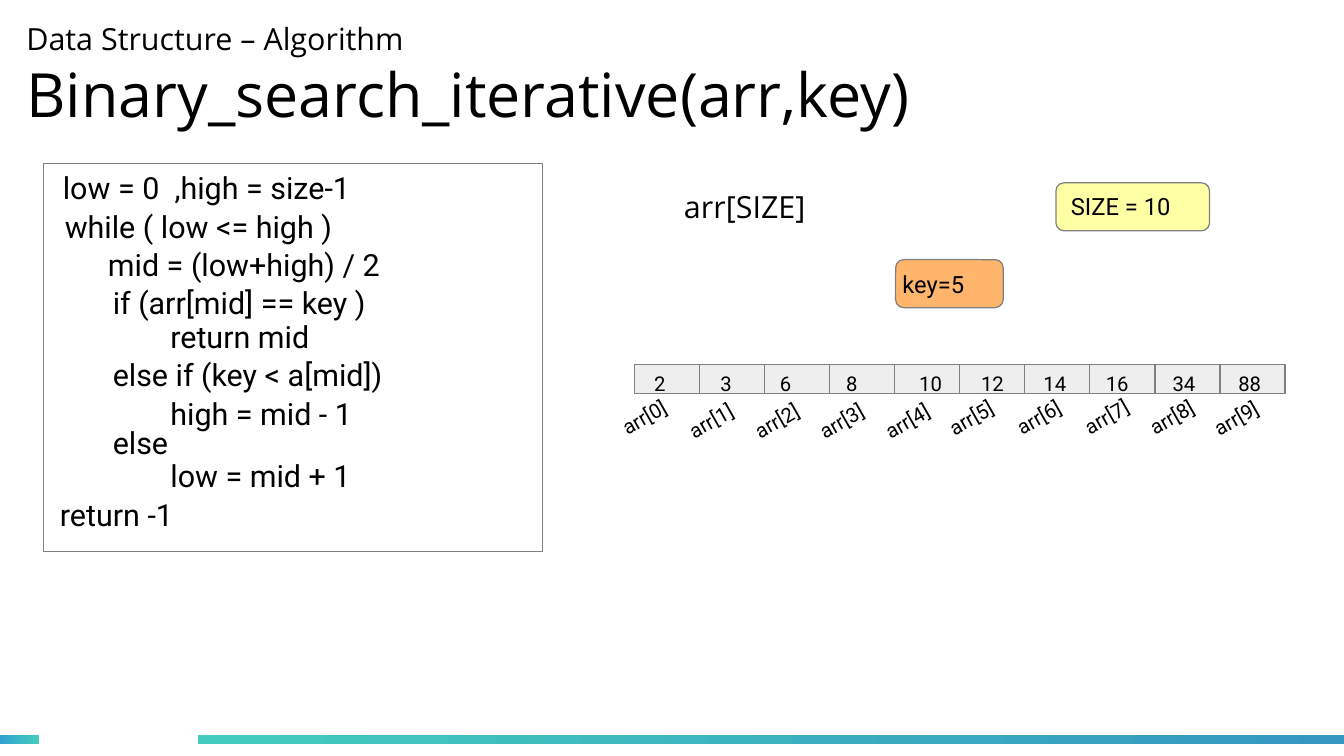
import dataclasses

import pptx
import pptx.dml.color
import pptx.enum.shapes
import pptx.enum.text
import pptx.util

Cm = pptx.util.Cm
Pt = pptx.util.Pt
Kind = pptx.enum.shapes.MSO_SHAPE
Anchor = pptx.enum.text.MSO_ANCHOR


@dataclasses.dataclass(frozen=True)
class Theme:
    ink: str = "000000"
    edge: str = "808080"
    paper: str = "FFFFFF"
    cell: str = "EEEEEE"
    yellow: str = "FFFFA6"
    orange: str = "FFB66C"
    teal: str = "43CCBD"
    sky: str = "30A2D2"
    blue: str = "3497C1"
    head: str = "Open Sans"
    body: str = "Roboto"
    huge: int = 36
    large: int = 18
    mid: int = 14
    small: int = 12


@dataclasses.dataclass(frozen=True)
class Box:
    left: float
    top: float
    width: float
    height: float


@dataclasses.dataclass(frozen=True)
class Step:
    text: str
    left: float
    top: float


@dataclasses.dataclass(frozen=True)
class Item:
    value: int
    left: float
    tag_left: float
    tag_top: float


THEME = Theme()

STEPS = [
    Step("low = 0  ,high = size-1", 1.06, 3.4),
    Step("while ( low <= high )", 1.1, 4.2),
    Step("mid = (low+high) / 2", 2, 5),
    Step("if (arr[mid] == key )", 2.1, 5.8),
    Step("return mid", 3.3, 6.5),
    Step("else if (key < a[mid])", 2.1, 7.3),
    Step("high = mid - 1", 3.3, 8.1),
    Step("else", 2.1, 8.7),
    Step("low = mid + 1", 3.3, 9.4),
    Step("return -1", 1, 10.2),
]

ITEMS = [
    Item(2, 13.38, 12.68, 8.23),
    Item(3, 14.76, 14.07, 8.3),
    Item(6, 16, 15.44, 8.3),
    Item(8, 17.38, 16.79, 8.31),
    Item(10, 18.9, 18.16, 8.31),
    Item(12, 20.19, 19.49, 8.24),
    Item(14, 21.49, 20.9, 8.23),
    Item(16, 22.79, 22.31, 8.22),
    Item(34, 24.18, 23.67, 8.23),
    Item(88, 25.55, 25.01, 8.25),
]


def tint(code: str) -> pptx.dml.color.RGBColor:
    return pptx.dml.color.RGBColor.from_string(code)


def place(box: Box) -> list:
    return [Cm(box.left), Cm(box.top), Cm(box.width), Cm(box.height)]


def add_run(para, text: str, font: str, size: int) -> None:
    run = para.add_run()
    run.text = text
    run.font.name = font
    run.font.size = Pt(size)
    run.font.color.rgb = tint(THEME.ink)


def add_text(slide, box: Box, text: str, font: str, size: int, turn: float = 0) -> None:
    shape = slide.shapes.add_textbox(*place(box))
    shape.rotation = turn
    shape.text_frame.word_wrap = True
    add_run(shape.text_frame.paragraphs[0], text, font, size)


def add_panel(slide, box: Box, fill: str, kind=Kind.RECTANGLE) -> None:
    shape = slide.shapes.add_shape(kind, *place(box))
    shape.shadow.inherit = False
    shape.fill.solid()
    shape.fill.fore_color.rgb = tint(fill)
    shape.line.color.rgb = tint(THEME.edge)
    shape.line.width = Pt(0)


def add_bar(slide, box: Box, start: str, end: str) -> None:
    shape = slide.shapes.add_shape(Kind.RECTANGLE, *place(box))
    shape.shadow.inherit = False
    shape.line.fill.background()
    shape.fill.gradient()
    shape.fill.gradient_angle = 0
    for stop, code in zip(shape.fill.gradient_stops, (start, end)):
        stop.color.rgb = tint(code)


def add_title(slide) -> None:
    frame = slide.shapes.add_textbox(*place(Box(0.55, 0, 26.44, 3.12))).text_frame
    frame.word_wrap = True
    frame.vertical_anchor = Anchor.MIDDLE
    frame.margin_left = frame.margin_right = 0
    frame.margin_top = frame.margin_bottom = 0
    lines = [
        ("Data Structure – Algorithm", THEME.large),
        ("Binary_search_iterative(arr,key)", THEME.huge),
    ]
    for row, (text, size) in enumerate(lines):
        para = frame.add_paragraph() if row else frame.paragraphs[0]
        add_run(para, text, THEME.head, size)


def add_code(slide) -> None:
    panel = Box(0.9, 3.4, 10.4, 8.09)
    add_panel(slide, panel, THEME.paper)
    for step in STEPS:
        width = panel.left + panel.width - step.left
        box = Box(step.left, step.top, width, 1.12)
        add_text(slide, box, step.text, THEME.body, THEME.large)


def add_array(slide) -> None:
    left, top, pitch = 13.22, 7.6, 1.355
    for spot, item in enumerate(ITEMS):
        cell = Box(left + spot * pitch, top, pitch, 0.6)
        add_panel(slide, cell, THEME.cell)
        value = Box(item.left, top, 1.25, 0.85)
        add_text(slide, value, str(item.value), THEME.body, THEME.small)
        label = Box(item.tag_left, item.tag_top, 1.78, 0.84)
        add_text(slide, label, f"arr[{spot}]", THEME.body, THEME.small, -29.6)


def main() -> None:
    deck = pptx.Presentation()
    deck.slide_width, deck.slide_height = Cm(28), Cm(15.75)
    slide = deck.slides.add_slide(deck.slide_layouts[6])

    # Footer bars
    add_bar(slide, Box(0, 15.31, 0.81, 0.2), THEME.sky, THEME.teal)
    add_bar(slide, Box(4.13, 15.31, 23.87, 0.2), THEME.teal, THEME.blue)

    # Title and code
    add_title(slide)
    add_code(slide)

    # Array name, size and key
    add_text(slide, Box(14, 3.79, 3.61, 1.12), "arr[SIZE]", THEME.head, THEME.large)
    add_panel(slide, Box(22, 3.81, 3.2, 1), THEME.yellow, Kind.ROUNDED_RECTANGLE)
    add_text(slide, Box(22.06, 3.88, 3.05, 0.91), "SIZE = 10", THEME.body, THEME.mid)
    add_panel(slide, Box(18.66, 5.41, 2.24, 1), THEME.orange, Kind.ROUNDED_RECTANGLE)
    add_text(slide, Box(18.55, 5.5, 2.44, 0.91), "key=5", THEME.body, THEME.mid)

    # Cells with values and index labels
    add_array(slide)

    deck.save("out.pptx")


if __name__ == "__main__":
    main()
